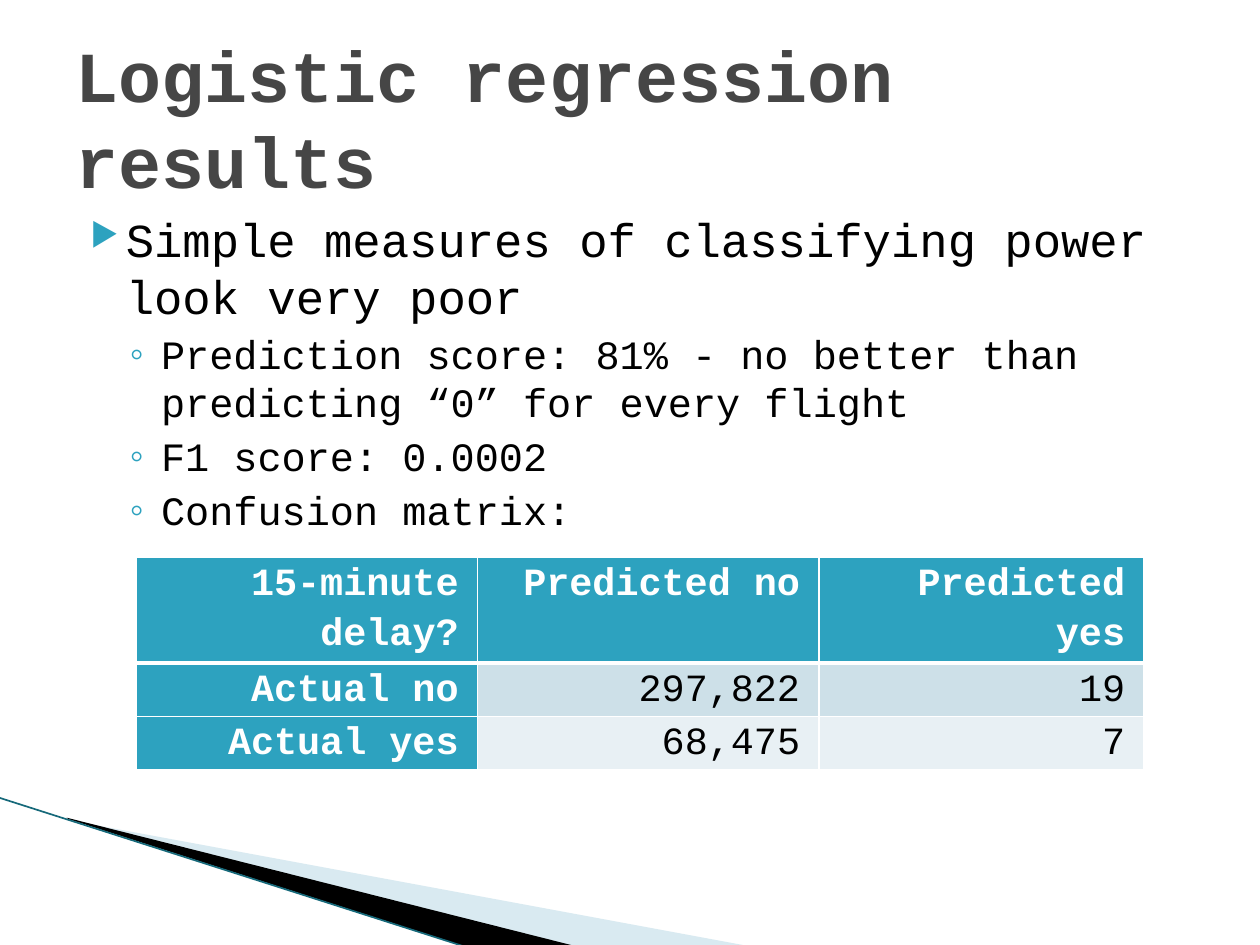
import pptx
import pptx.util
import pptx.dml.color
import pptx.enum.shapes
import pptx.enum.text
import pptx.oxml
import pptx.oxml.ns
import lxml.etree

WIDTH, HEIGHT = 10, 7.5
FONT = "Courier New"
COLORS = {
    "accent": "2DA2BF",
    "title": "464646",
    "ink": "000000",
    "paper": "FFFFFF",
    "band": "CDE0E8",
    "band_light": "E8F0F4",
    "wedge": "A0CBDC",
    "edge": "16697A",
}
BULLET_LEVELS = [
    {"char": "▶", "font": "OpenSymbol", "size": 27, "before": 4,
     "left": 0.4, "hanging": 0.28, "scale": 68},
    {"char": "◦", "font": "Arial", "size": 23, "before": 3.2,
     "left": 0.68, "hanging": 0.25, "scale": 100},
]
POINTS = [
    (0, "Simple measures of classifying power look very poor"),
    (1, "Prediction score: 81% - no better than predicting “0” for every flight"),
    (1, "F1 score: 0.0002"),
    (1, "Confusion matrix:"),
]
MATRIX = [
    ["15-minute delay?", "Predicted no", "Predicted yes"],
    ["Actual no", "297,822", "19"],
    ["Actual yes", "68,475", "7"],
]
COLUMN_WIDTHS = [2.71, 2.71, 2.58]
ROW_HEIGHTS = [0.82, 0.42, 0.42]


def inches(*values):
    return [pptx.util.Inches(value) for value in values]


def color(name):
    return pptx.dml.color.RGBColor.from_string(COLORS[name])


def add_element(parent, tag, **attributes):
    element = lxml.etree.SubElement(parent, pptx.oxml.ns.qn(tag))
    for name, value in attributes.items():
        element.set(name, str(value))
    return element


def add_run(para, text, size, color_name, bold=False):
    run = para.add_run()
    run.text = text
    run.font.name = FONT
    run.font.size = pptx.util.Pt(size)
    run.font.bold = bold
    run.font.color.rgb = color(color_name)


def add_wedge(page, points, color_name, opacity=100):
    corners = [inches(*point) for point in points]
    builder = page.shapes.build_freeform(*corners[0])
    builder.add_line_segments(corners[1:], close=True)
    shape = builder.convert_to_shape()
    shape.shadow.inherit = False
    shape.line.fill.background()
    shape.fill.solid()
    shape.fill.fore_color.rgb = color(color_name)
    if opacity < 100:
        fill = shape.element.spPr.find(pptx.oxml.ns.qn("a:solidFill"))
        add_element(fill[0], "a:alpha", val=opacity * 1000)


def add_edge(page, start, end):
    line = page.shapes.add_connector(
        pptx.enum.shapes.MSO_CONNECTOR.STRAIGHT, *inches(*start, *end)
    )
    line.line.color.rgb = color("edge")
    line.line.width = pptx.util.Pt(0.95)
    add_element(line.element.spPr, "a:effectLst")


def set_title(page, text):
    title = page.shapes.title
    title.left, title.top, title.width, title.height = inches(
        0.05 * WIDTH, 0.04 * HEIGHT, 0.9 * WIDTH, 1.25
    )
    frame = title.text_frame
    frame.word_wrap = True
    frame.auto_size = pptx.enum.text.MSO_AUTO_SIZE.NONE
    frame.vertical_anchor = pptx.enum.text.MSO_ANCHOR.MIDDLE
    para = frame.paragraphs[0]
    para.alignment = pptx.enum.text.PP_ALIGN.LEFT
    add_run(para, text, 41, "title", bold=True)


def format_bullet(para, level):
    style = BULLET_LEVELS[level]
    para.level = level
    para.space_before = pptx.util.Pt(style["before"])
    properties = para._p.get_or_add_pPr()
    properties.set("marL", str(pptx.util.Inches(style["left"])))
    properties.set("indent", str(-pptx.util.Inches(style["hanging"])))
    bullet_color = add_element(properties, "a:buClr")
    add_element(bullet_color, "a:srgbClr", val=COLORS["accent"])
    add_element(properties, "a:buSzPct", val=style["scale"] * 1000)
    add_element(properties, "a:buFont", typeface=style["font"])
    add_element(properties, "a:buChar", char=style["char"])


def add_bullets(page, points):
    box = page.shapes.add_textbox(*inches(0.05 * WIDTH, 1.62, 0.9 * WIDTH, 4.95))
    frame = box.text_frame
    frame.word_wrap = True
    for index, (level, text) in enumerate(points):
        para = frame.add_paragraph() if index else frame.paragraphs[0]
        format_bullet(para, level)
        add_run(para, text, BULLET_LEVELS[level]["size"], "ink")


def set_borders(cell, bottom, top):
    properties = cell._tc.get_or_add_tcPr()
    widths = {"a:lnL": 1, "a:lnR": 1, "a:lnT": top, "a:lnB": bottom}
    for position, (tag, width) in enumerate(widths.items()):
        border = add_element(properties, tag, w=pptx.util.Pt(width))
        fill = add_element(border, "a:solidFill")
        add_element(fill, "a:srgbClr", val=COLORS["paper"])
        properties.insert(position, border)


def format_cell(cell, text, row, column):
    heading = row == 0 or column == 0
    cell.margin_left = cell.margin_right = pptx.util.Inches(0.15)
    cell.margin_top = cell.margin_bottom = 0
    cell.fill.solid()
    band = "band" if row % 2 else "band_light"
    cell.fill.fore_color.rgb = color("accent" if heading else band)
    set_borders(cell, bottom=3 if row == 0 else 1, top=3 if row == 1 else 1)
    para = cell.text_frame.paragraphs[0]
    para.alignment = pptx.enum.text.PP_ALIGN.RIGHT
    para.line_spacing = 1.15
    add_run(para, text, 22, "paper" if heading else "ink", bold=heading)


def add_matrix(page, rows):
    frame = page.shapes.add_table(
        len(rows), len(rows[0]),
        *inches(1.08, 4.42, sum(COLUMN_WIDTHS), sum(ROW_HEIGHTS)),
    )
    table = frame.table
    table.first_col = True
    for column, width in zip(table.columns, COLUMN_WIDTHS):
        column.width = pptx.util.Inches(width)
    for row, height in zip(table.rows, ROW_HEIGHTS):
        row.height = pptx.util.Inches(height)
    for row, texts in enumerate(rows):
        for column, text in enumerate(texts):
            format_cell(table.cell(row, column), text, row, column)


def main():
    deck = pptx.Presentation()
    deck.slide_width, deck.slide_height = inches(WIDTH, HEIGHT)
    page = deck.slides.add_slide(deck.slide_layouts.get_by_name("Title Only"))
    add_wedge(page, [(0.55, 6.51), (5.95, 7.51), (4.56, 7.51), (0.55, 6.5)], "wedge", 40)
    add_wedge(page, [(0.53, 6.49), (4.57, 7.51), (3.72, 7.52), (0.54, 6.5)], "ink")
    add_edge(page, (-0.01, 6.33), (3.71, 7.52))
    add_bullets(page, POINTS)
    set_title(page, "Logistic regression results")
    add_matrix(page, MATRIX)
    deck.save("out.pptx")


if __name__ == "__main__":
    main()
